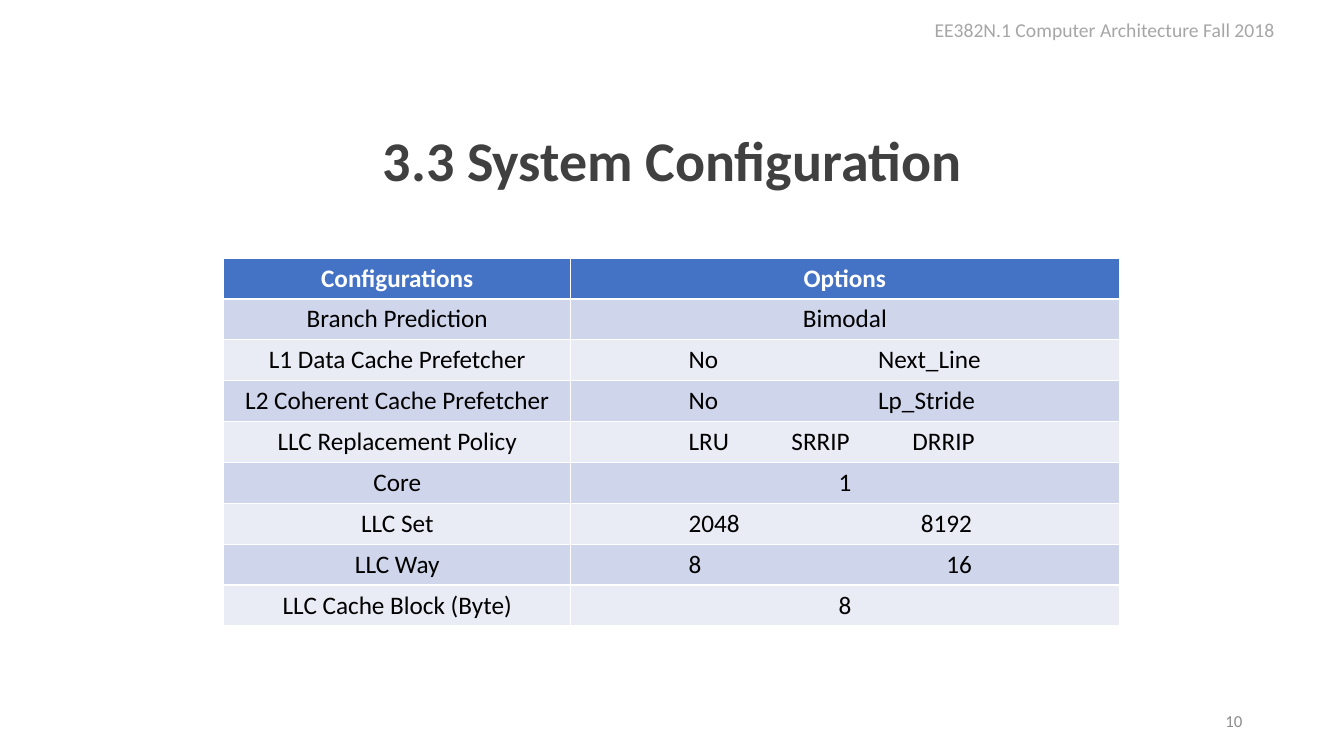
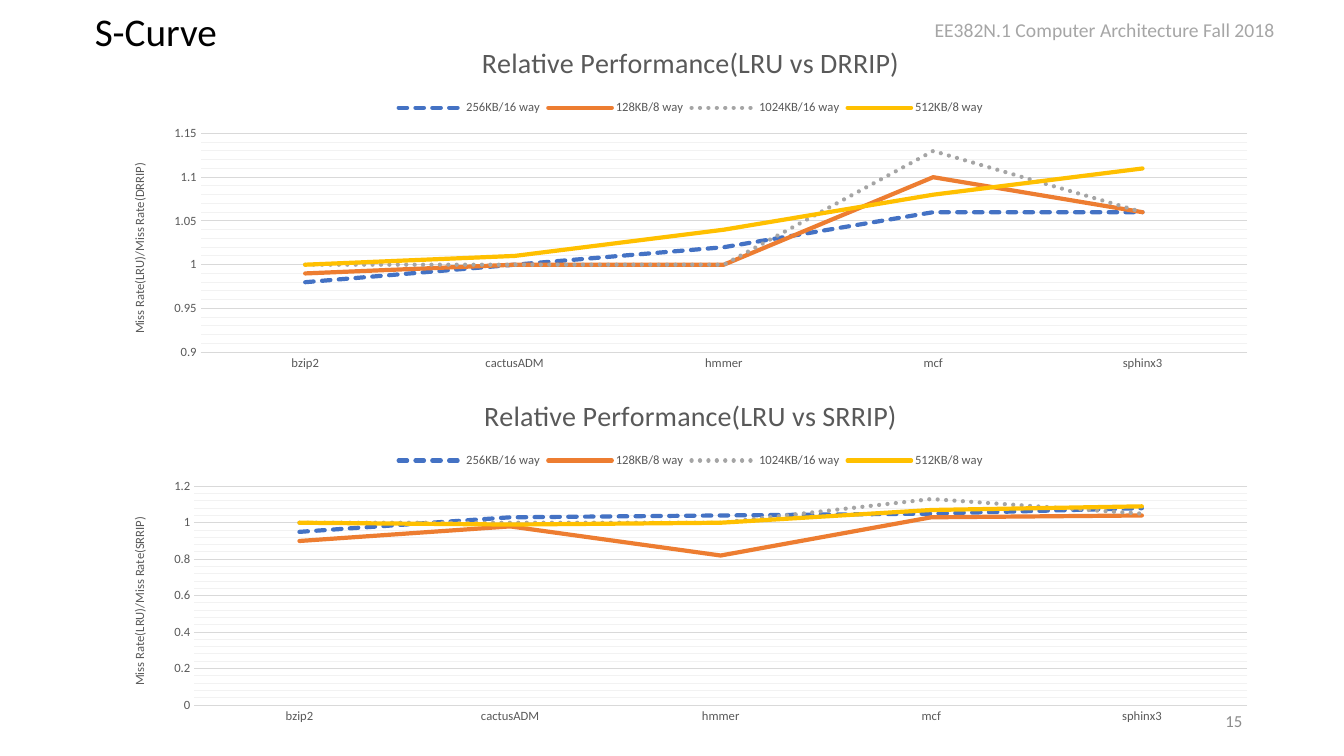
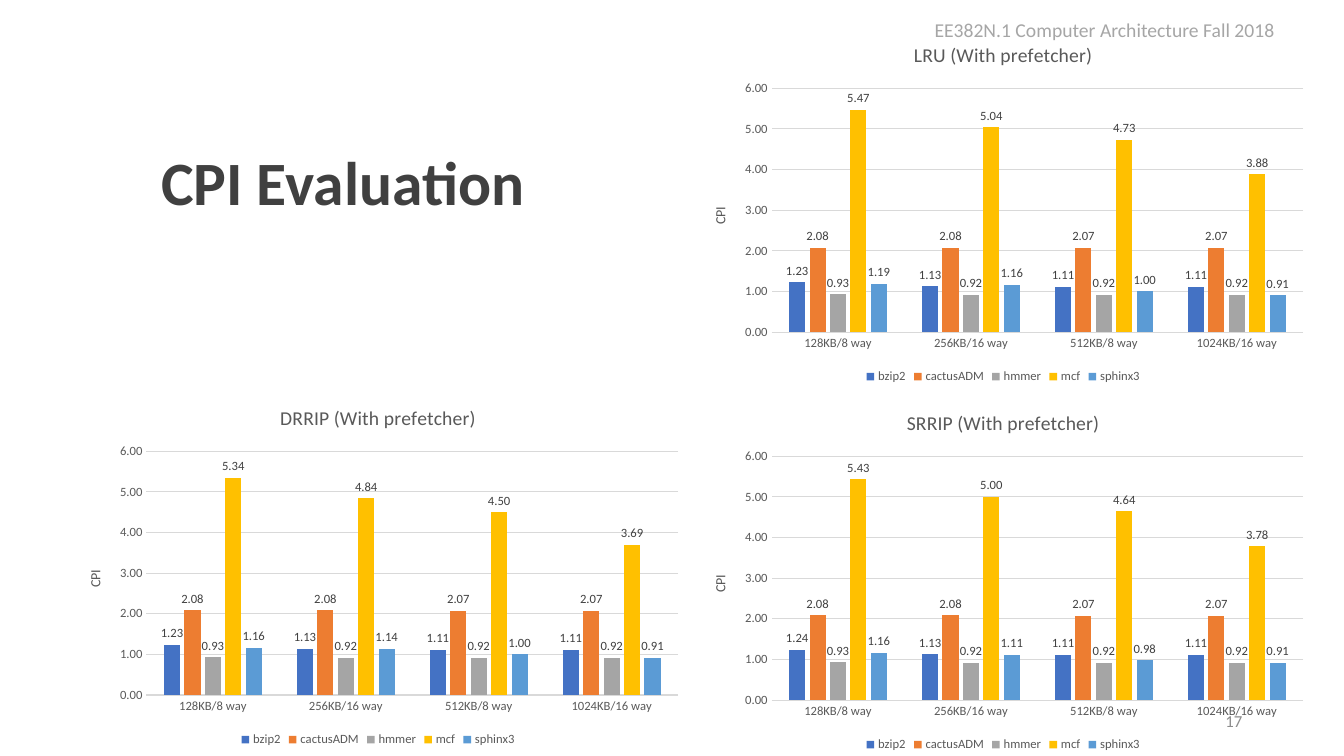
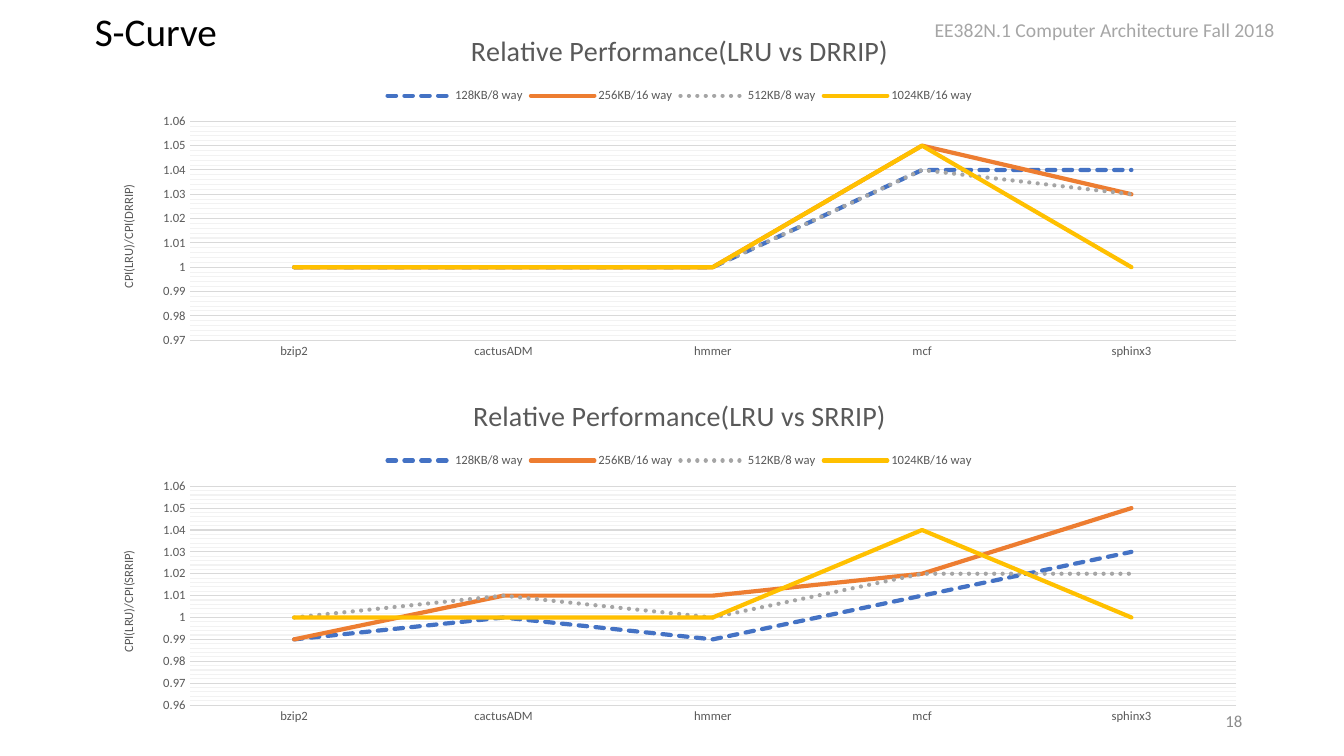
from dataclasses import dataclass

from lxml import etree
from pptx import Presentation
from pptx.chart.data import CategoryChartData
from pptx.dml.color import RGBColor
from pptx.enum import chart as ch, dml, text
from pptx.oxml.ns import qn
from pptx.util import Inches, Pt


# Theme: colours (hex) and type sizes (points)
@dataclass(frozen=True)
class Theme:
    font: str = "Calibri"
    black: str = "000000"
    white: str = "FFFFFF"
    heading: str = "404040"
    header: str = "A6A6A6"
    number: str = "8C8C8C"
    chart_text: str = "595959"
    grid: str = "D9D9D9"
    minor_grid: str = "F2F2F2"
    table_head: str = "4472C4"
    bands: tuple = ("CFD5EA", "E9EBF5")
    series: tuple = ("4472C4", "ED7D31", "A5A5A5", "FFC000", "5B9BD5")
    header_size: int = 14
    number_size: int = 12
    table_size: int = 18
    curve_title: int = 20
    bar_title: int = 14
    bar_axis: int = 10
    chart_size: int = 9


T = Theme()
L, C, R = text.PP_ALIGN.LEFT, text.PP_ALIGN.CENTER, text.PP_ALIGN.RIGHT

# Content
HEADER = "EE382N.1 Computer Architecture Fall 2018"
BENCHMARKS = ["bzip2", "cactusADM", "hmmer", "mcf", "sphinx3"]
CACHES = ["128KB/8 way", "256KB/16 way", "512KB/8 way", "1024KB/16 way"]

# Each row: name, options, tab stops (inches, alignment); no stops means centred
TWO_LEFT = [(1.07, "l"), (2.95, "l")]
LEFT_RIGHT = [(1.07, "l"), (3.88, "r")]
CONFIG_ROWS = [
    ("Configurations", ["Options"], []),
    ("Branch Prediction", ["Bimodal"], []),
    ("L1 Data Cache Prefetcher", ["No", "Next_Line"], TWO_LEFT),
    ("L2 Coherent Cache Prefetcher", ["No", "Lp_Stride"], TWO_LEFT),
    ("LLC Replacement Policy", ["LRU", "SRRIP", "DRRIP"],
     [(1.07, "l"), (2.09, "l"), (3.29, "l")]),
    ("Core", ["1"], []),
    ("LLC Set", ["2048", "8192"], LEFT_RIGHT),
    ("LLC Way", ["8", "16"], LEFT_RIGHT),
    ("LLC Cache Block (Byte)", ["8"], []),
]

# Each curve chart: policy, top, axis (min, max, major, minor), one list per cache
MISS_CACHES = ["256KB/16 way", "128KB/8 way", "1024KB/16 way", "512KB/8 way"]
MISS_CURVES = [
    ("DRRIP", 0.25, (0.9, 1.15, 0.05, 0.01),
     [[0.98, 1, 1.02, 1.06, 1.06], [0.99, 1, 1, 1.1, 1.06],
      [1, 1, 1, 1.13, 1.06], [1, 1.01, 1.04, 1.08, 1.11]]),
    ("SRRIP", 3.75, (0, 1.2, 0.2, 0.04),
     [[0.95, 1.03, 1.04, 1.05, 1.08], [0.9, 0.98, 0.82, 1.03, 1.04],
      [1, 1, 1, 1.13, 1.05], [1, 0.99, 1, 1.07, 1.09]]),
]
CPI_CURVES = [
    ("DRRIP", 0.13, (0.97, 1.06, 0.01, 0.002),
     [[1, 1, 1, 1.04, 1.04], [1, 1, 1, 1.05, 1.03],
      [1, 1, 1, 1.04, 1.03], [1, 1, 1, 1.05, 1]]),
    ("SRRIP", 3.75, (0.96, 1.06, 0.01, 0.002),
     [[0.99, 1, 0.99, 1.01, 1.03], [0.99, 1.01, 1.01, 1.02, 1.05],
      [1, 1.01, 1, 1.02, 1.02], [1, 1, 1, 1.04, 1]]),
]

# CPI bars: policy, left, top, one list per benchmark
CACTUS, HMMER = [2.08, 2.08, 2.07, 2.07], [0.93, 0.92, 0.92, 0.92]
CPI_BARS = [
    ("DRRIP", 0.65, 3.85,
     [[1.23, 1.13, 1.11, 1.11], CACTUS, HMMER,
      [5.34, 4.84, 4.5, 3.69], [1.16, 1.14, 1, 0.91]]),
    ("SRRIP", 6.85, 3.9,
     [[1.24, 1.13, 1.11, 1.11], CACTUS, HMMER,
      [5.43, 5, 4.64, 3.78], [1.16, 1.11, 0.98, 0.91]]),
    ("LRU", 6.85, 0.25,
     [[1.23, 1.13, 1.11, 1.11], CACTUS, HMMER,
      [5.47, 5.04, 4.73, 3.88], [1.19, 1.16, 1, 0.91]]),
]


# Text helpers
def style(font, size, color, bold=False):
    font.name, font.size, font.bold = T.font, Pt(size), bold
    font.color.rgb = RGBColor.from_string(color)


def write(tf, words, size, color, bold=False, align=L):
    p = tf.paragraphs[0]
    p.alignment = align
    r = p.add_run()
    r.text = words
    style(r.font, size, color, bold)
    return p


def add_text(slide, box, words, size, color, align=L, anchor=text.MSO_ANCHOR.TOP):
    sp = slide.shapes.add_textbox(*map(Inches, box))
    tf = sp.text_frame
    tf.word_wrap = True
    tf.vertical_anchor = anchor
    write(tf, words, size, color, align=align)
    return sp


# Shared slide parts
def add_slide(prs, title, box, size, color, bold=False, align=L):
    slide = prs.slides.add_slide(prs.slide_layouts[5])
    sp = slide.shapes.title
    sp.left, sp.top, sp.width, sp.height = map(Inches, box)
    tf = sp.text_frame
    tf.auto_size = text.MSO_AUTO_SIZE.NONE
    tf.vertical_anchor = text.MSO_ANCHOR.MIDDLE
    write(tf, title, size, color, bold, align).line_spacing = 0.9
    return slide


def add_number(slide, number):
    add_text(slide, (9.42, 6.95, 3, 0.4), str(number), T.number_size, T.number,
             R, text.MSO_ANCHOR.MIDDLE)


def header_to_layout(prs, slide):
    sp = add_text(slide, (9.17, 0.13, 3.68, 0.34), HEADER, T.header_size, T.header)
    prs.slide_layouts[5].shapes.element.append(sp.element)


# Table
def set_tabs(p, stops):
    tabs = etree.SubElement(p._p.get_or_add_pPr(), qn("a:tabLst"))
    for pos, align in stops:
        etree.SubElement(tabs, qn("a:tab"), pos=str(Inches(pos)), algn=align)


def add_config_table(slide):
    n = len(CONFIG_ROWS)
    box = map(Inches, (2.22, 2.56, 8.88, 3.65))
    table = slide.shapes.add_table(n, 2, *box).table
    for col, width in zip(table.columns, (3.44, 5.44)):
        col.width = Inches(width)
    for i, (name, options, stops) in enumerate(CONFIG_ROWS):
        head = i == 0
        fill = T.table_head if head else T.bands[(i - 1) % 2]
        choice = "".join("\t" + o for o in options) if stops else options[0]
        for cell, words in zip(table.rows[i].cells, (name, choice)):
            cell.fill.solid()
            cell.fill.fore_color.rgb = RGBColor.from_string(fill)
            tabbed = words.startswith("\t")
            p = write(cell.text_frame, words, T.table_size,
                      T.white if head else T.black, head, L if tabbed else C)
            if tabbed:
                set_tabs(p, stops)


# Charts
def set_line(line, color, width=0.75):
    line.color.rgb = RGBColor.from_string(color)
    line.width = Pt(width)


def add_minor_grid(axis, unit):
    axis.has_minor_gridlines = True
    axis.minor_unit = unit
    node = axis._element.find(qn("c:minorGridlines"))
    for tag in ("c:spPr", "a:ln", "a:solidFill", "a:srgbClr"):
        node = etree.SubElement(node, qn(tag))
        if tag == "a:ln":
            node.set("w", str(Pt(0.75)))
    node.set("val", T.minor_grid)


def add_chart(slide, kind, box, cats, names, rows, title, title_size,
              axis_title, axis_size, scale, legend, fmt):
    data = CategoryChartData()
    data.categories = cats
    for name, values in zip(names, rows):
        data.add_series(name, values)
    chart = slide.shapes.add_chart(kind, *map(Inches, box), data).chart
    style(chart.font, T.chart_size, T.chart_text)
    chart.has_title = True
    write(chart.chart_title.text_frame, title, title_size, T.chart_text, align=C)
    chart.has_legend = True
    chart.legend.position = legend
    chart.legend.include_in_layout = False
    style(chart.legend.font, T.chart_size, T.chart_text)

    val, cat = chart.value_axis, chart.category_axis
    for axis in (val, cat):
        axis.major_tick_mark = axis.minor_tick_mark = ch.XL_TICK_MARK.NONE
        style(axis.tick_labels.font, T.chart_size, T.chart_text)
    set_line(cat.format.line, T.grid)
    val.format.line.fill.background()
    val.minimum_scale, val.maximum_scale, val.major_unit = scale[:3]
    set_line(val.major_gridlines.format.line, T.grid)
    val.tick_labels.number_format = fmt
    val.tick_labels.number_format_is_linked = False
    val.has_title = True
    write(val.axis_title.text_frame, axis_title, axis_size, T.chart_text, align=C)
    chart.plots[0].vary_by_categories = False
    return chart


def add_curves(slide, left, metric, names, curves):
    dashes = (dml.MSO_LINE.SQUARE_DOT, None, dml.MSO_LINE.ROUND_DOT, None)
    for policy, top, scale, rows in curves:
        chart = add_chart(
            slide, ch.XL_CHART_TYPE.LINE, (left, top, 11.5, 3.5), BENCHMARKS,
            names, rows, f"Relative Performance(LRU vs {policy})", T.curve_title,
            f"{metric}(LRU)/{metric}({policy})", T.chart_size, scale,
            ch.XL_LEGEND_POSITION.TOP, "General")
        add_minor_grid(chart.value_axis, scale[3])
        for s, color, dash in zip(chart.plots[0].series, T.series, dashes):
            s.smooth = False
            set_line(s.format.line, color, 3)
            if dash:
                s.format.line.dash_style = dash
            s._element.find(".//" + qn("a:ln")).set("cap", "rnd")


def add_bars(slide):
    for policy, left, top, rows in CPI_BARS:
        chart = add_chart(
            slide, ch.XL_CHART_TYPE.COLUMN_CLUSTERED, (left, top, 6.2, 3.6),
            CACHES, BENCHMARKS, rows, f"{policy} (With prefetcher)", T.bar_title,
            "CPI", T.bar_axis, (0, 6, 1), ch.XL_LEGEND_POSITION.BOTTOM, "0.00")
        plot = chart.plots[0]
        plot.gap_width, plot.overlap = 219, -27
        plot.has_data_labels = True
        labels = plot.data_labels
        labels.show_value = True
        labels.position = ch.XL_LABEL_POSITION.OUTSIDE_END
        labels.number_format = "0.00"
        labels.number_format_is_linked = False
        style(labels.font, T.chart_size, T.heading)
        for s, color in zip(plot.series, T.series):
            s.format.fill.solid()
            s.format.fill.fore_color.rgb = RGBColor.from_string(color)


def add_curve_slide(prs, number, *curves):
    slide = add_slide(prs, "S-Curve", (0.84, 0.08, 2.57, 0.52), 28, T.black)
    add_curves(slide, *curves)
    add_number(slide, number)


def main():
    prs = Presentation()
    prs.slide_width, prs.slide_height = Inches(13.33), Inches(7.5)

    # System configuration
    slide = add_slide(prs, "3.3 System Configuration", (1.29, 0.9, 10.75, 1.45),
                      40, T.heading, True, C)
    header_to_layout(prs, slide)
    add_config_table(slide)
    add_number(slide, 10)

    # Miss rate curves
    add_curve_slide(prs, 15, 1.1, "Miss Rate", MISS_CACHES, MISS_CURVES)

    # CPI bars
    slide = add_slide(prs, "CPI Evaluation", (1.5, 1.12, 11.5, 1.45),
                      44, T.heading, True)
    add_bars(slide)
    add_number(slide, 17)

    # CPI curves
    add_curve_slide(prs, 18, 0.99, "CPI", CACHES, CPI_CURVES)
    prs.save("out.pptx")


if __name__ == "__main__":
    main()
